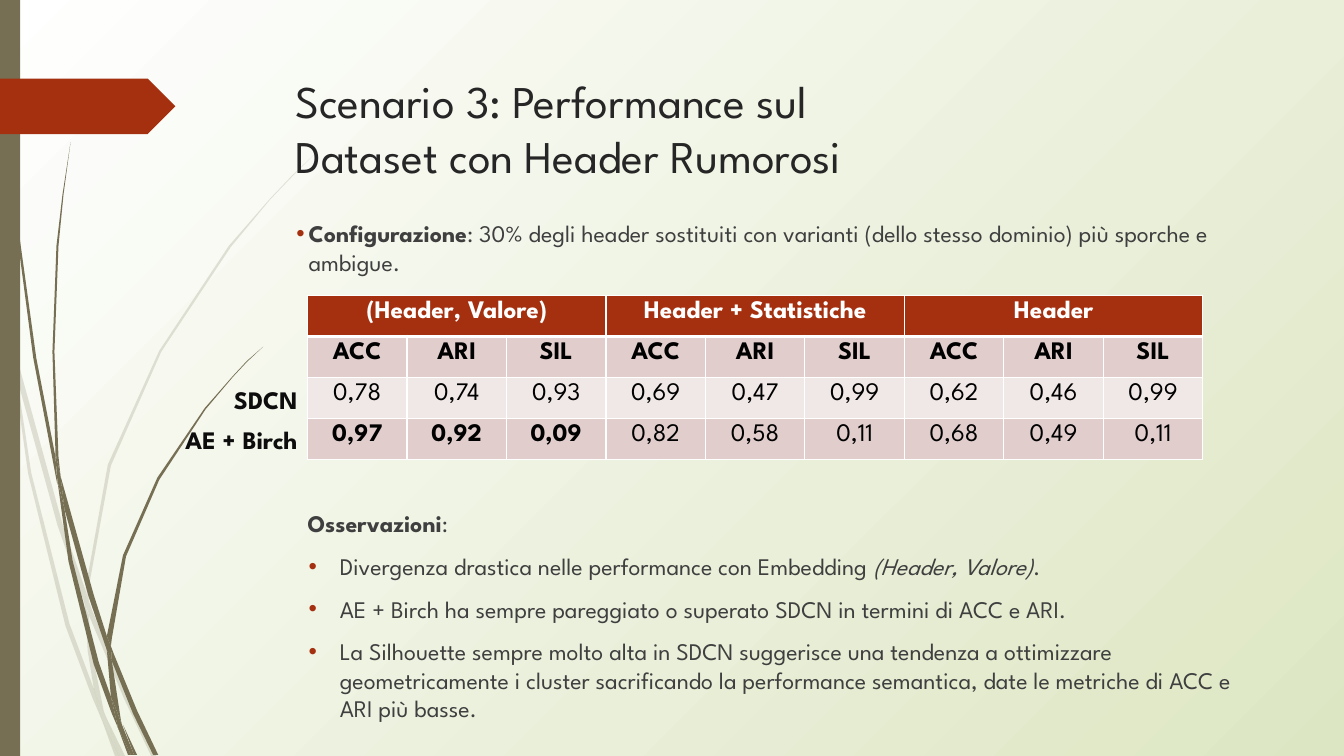
from dataclasses import dataclass

from pptx import Presentation
from pptx import util as u
from pptx.dml.color import RGBColor
from pptx.enum import shapes, text
from pptx.oxml import ns, xmlchemy


@dataclass(frozen=True)
class Theme:
    font: str = "League Spartan"
    accent: str = "A53010"
    olive: str = "766F54"
    meadow: str = "DDE6C3"
    white: str = "FFFFFF"
    black: str = "000000"
    title_ink: str = "262626"
    body_ink: str = "3F3F3F"
    label_ink: str = "0D0D0D"
    bands: tuple[str, str] = ("F0E8E7", "E1CDCC")
    title_size: float = 32.4
    body_size: float = 17
    table_size: float = 18


@dataclass(frozen=True)
class Span:
    words: str
    bold: bool = False
    italic: bool = False


@dataclass(frozen=True)
class Entry:
    spans: tuple[Span, ...]
    margin: float = 0.44
    indent: float = -0.31


THEME = Theme()

# Outlines of the grass blades, in inches
FAINT_GRASS = (
    ((0.11, 3.5), (0.08, 3.22), (0, 2.82), (0, 2.99), (0.1, 3.44)),
    ((0.57, 5.21), (0.84, 5.99), (0.85, 5.86), (0.62, 5.2), (0.14, 3.45), (0.17, 3.76)),
    ((0.92, 6.07), (0.88, 5.96), (0.88, 6.1), (1.23, 6.93), (1.5, 7.5), (1.55, 7.5), (1.27, 6.91)),
    ((1.19, 7.5), (1.24, 7.5), (1.05, 7.11)),
    ((0.93, 6.83), (0.69, 6.19), (0.31, 4.69), (0.17, 3.76), (0.11, 3.5), (0.28, 4.7), (0.65, 6.21),
     (0.92, 6.93), (1.01, 7.14), (0.99, 7.07)),
    ((0.84, 5.99), (0.87, 6.46), (0.93, 6.83), (0.96, 6.92), (1.05, 7.11), (1.03, 7.06), (0.91, 6.46),
     (0.88, 6.1)),
    ((0.88, 5.83), (1.1, 4.62), (1.6, 3.49), (2.29, 2.45), (2.68, 1.98), (2.9, 1.75), (3.12, 1.53),
     (2.89, 1.75), (2.68, 1.97), (2.27, 2.44), (1.58, 3.48), (1.07, 4.61), (0.85, 5.83), (0.88, 5.96)),
    ((1.01, 7.14), (1.14, 7.5), (1.18, 7.5)),
    ((0.88, 6.08), (0.88, 5.96), (0.85, 5.86), (0.84, 5.99)),
    ((0.96, 6.92), (0.93, 6.83), (0.99, 7.07), (1.01, 7.14), (1.18, 7.5), (1.19, 7.5), (1.05, 7.11)),
)
DARK_GRASS = (
    ((0.07, 1.1), (0.17, 2.33), (0.33, 3.55), (0.56, 4.76), (0.57, 4.81), (0.55, 4.53), (0.36, 3.55),
     (0.19, 2.32), (0.08, 1.09), (0.05, 0.48), (0.04, 0), (0.03, 0), (0.04, 0.48)),
    ((0.88, 5.92), (1.06, 6.45), (1.06, 6.31), (0.93, 5.9), (0.6, 4.72), (0.64, 5.05)),
    ((1.13, 6.49), (1.1, 6.41), (1.11, 6.56), (1.32, 7.08), (1.52, 7.49), (1.57, 7.49), (1.36, 7.05)),
    ((1.1, 6.91), (0.98, 6.57), (0.72, 5.56), (0.64, 5.05), (0.57, 4.77), (0.68, 5.57), (0.93, 6.59),
     (1.11, 7.08), (1.17, 7.22), (1.16, 7.17)),
    ((0.6, 4.72), (0.58, 4.53), (0.54, 3.49), (0.58, 2.44), (0.63, 1.93), (0.7, 1.41), (0.62, 1.93),
     (0.56, 2.44), (0.52, 3.49), (0.55, 4.49)),
    ((1.33, 7.49), (1.36, 7.49), (1.22, 7.19)),
    ((0.57, 4.77), (0.64, 5.05), (0.6, 4.72), (0.55, 4.49), (0.55, 4.53)),
    ((1.11, 6.33), (1.25, 5.52), (1.58, 4.76), (2.04, 4.06), (2.31, 3.74), (2.45, 3.59), (2.61, 3.44),
     (2.45, 3.58), (2.31, 3.73), (2.03, 4.05), (1.56, 4.74), (1.22, 5.51), (1.06, 6.31), (1.1, 6.41)),
    ((1.17, 7.22), (1.27, 7.49), (1.3, 7.49)),
    ((1.06, 6.45), (1.1, 6.91), (1.16, 7.06), (1.21, 7.19), (1.2, 7.15), (1.11, 6.56)),
    ((1.06, 6.45), (1.11, 6.56), (1.1, 6.41), (1.06, 6.31)),
    ((1.16, 7.06), (1.1, 6.91), (1.16, 7.17), (1.17, 7.22), (1.3, 7.49), (1.33, 7.49), (1.21, 7.19)),
)

CONFIGURATION = (Entry((
    Span("Configurazione", bold=True),
    Span(": 30% degli header sostituiti con varianti (dello stesso dominio) più sporche e ambigue.")), 0.12, -0.12),)
OBSERVATIONS = (
    Entry((Span("Osservazioni", bold=True), Span(":")), 0.12, 0),
    Entry((Span("Divergenza drastica nelle performance con Embedding "),
           Span("(Header, Valore)", italic=True), Span("."))),
    Entry((Span("AE + Birch ha sempre pareggiato o superato SDCN in termini di ACC e ARI."),)),
    Entry((Span("La Silhouette sempre molto alta in SDCN suggerisce una tendenza a ottimizzare geometricamente i "
                "cluster sacrificando la performance semantica, date le metriche di ACC e ARI più basse."),)),
)
EMBEDDINGS = ("(Header, Valore)", "Header + Statistiche", "Header")
METRICS = ("ACC", "ARI", "SIL")
SCORES = {
    "SDCN": ("0,78", "0,74", "0,93", "0,69", "0,47", "0,99", "0,62", "0,46", "0,99"),
    "AE + Birch": ("0,97", "0,92", "0,09", "0,82", "0,58", "0,11", "0,68", "0,49", "0,11"),
}
BEST = SCORES["AE + Birch"][:3]


def add_xml(parent, tag: str, **attributes):
    child = xmlchemy.OxmlElement(tag)
    for key, value in attributes.items():
        child.set(key, str(value))
    parent.append(child)
    return child


def write(paragraph, span: Span, size: float, ink: str) -> None:
    run = paragraph.add_run()
    run.text = span.words
    run.font.name, run.font.size = THEME.font, u.Pt(size)
    run.font.bold, run.font.italic = span.bold, span.italic
    run.font.color.rgb = RGBColor.from_string(ink)


def place(shape, *box: float):
    shape.left, shape.top, shape.width, shape.height = map(u.Inches, box)
    frame = shape.text_frame
    frame.word_wrap = True
    frame.auto_size = text.MSO_AUTO_SIZE.NONE
    frame.vertical_anchor = text.MSO_ANCHOR.TOP
    return frame


def paint(shape, color: str, opacity: int = 100) -> None:
    shape.shadow.inherit = False
    shape.fill.solid()
    shape.fill.fore_color.rgb = RGBColor.from_string(color)
    shape.line.fill.background()
    if opacity < 100:
        add_xml(shape.element.spPr.find(ns.qn("a:solidFill"))[0], "a:alpha", val=opacity * 1000)


def fill_list(frame, entries: tuple[Entry, ...]) -> None:
    for i, entry in enumerate(entries):
        paragraph = frame.add_paragraph() if i else frame.paragraphs[0]
        props = paragraph._p.get_or_add_pPr()
        props.set("marL", str(u.Inches(entry.margin)))
        props.set("indent", str(u.Inches(entry.indent)))
        if entry.indent:
            add_xml(add_xml(props, "a:buClr"), "a:srgbClr", val=THEME.accent)
            add_xml(props, "a:buFont", typeface="Arial")
            add_xml(props, "a:buChar", char="•")
        else:
            add_xml(props, "a:buNone")
        paragraph.space_before = u.Pt(10 if i else 0)
        for span in entry.spans:
            write(paragraph, span, THEME.body_size, THEME.body_ink)


def fill_cell(cell, words: str, bold: bool, ink: str, fill: str, bottom: float = 1) -> None:
    props = cell._tc.get_or_add_tcPr()
    for side, points in (("L", 1), ("R", 1), ("T", 1), ("B", bottom)):
        border = add_xml(props, f"a:ln{side}", w=u.Pt(points))
        add_xml(add_xml(border, "a:solidFill"), "a:srgbClr", val=THEME.white)
    cell.fill.solid()
    cell.fill.fore_color.rgb = RGBColor.from_string(fill)
    if words:
        cell.text_frame.paragraphs[0].alignment = text.PP_ALIGN.CENTER
        write(cell.text_frame.paragraphs[0], Span(words, bold), THEME.table_size, ink)


def draw_scores(slide) -> None:
    rows = (METRICS * len(EMBEDDINGS), *SCORES.values())
    scores = slide.shapes.add_table(len(rows) + 1, len(rows[0]), *map(u.Inches, (3.05, 2.93, 8.88, 1.63))).table
    scores.first_row = scores.horz_banding = False
    for c in range(len(rows[0])):
        group, offset = divmod(c, len(METRICS))
        fill_cell(scores.cell(0, c), "" if offset else EMBEDDINGS[group], True, THEME.white, THEME.accent, 3)
        if not offset:
            scores.cell(0, c).merge(scores.cell(0, c + len(METRICS) - 1))
        for r, row in enumerate(rows, start=1):
            bold = r == 1 or r == 3 and row[c] in BEST
            fill_cell(scores.cell(r, c), row[c], bold, THEME.black, THEME.bands[r % 2])
    # Row labels beside the table
    for i, method in enumerate(SCORES):
        label = place(slide.shapes.add_textbox(0, 0, 0, 0), 1.48, 3.76 + 0.4 * i, 1.57, 0.4).paragraphs[0]
        label.alignment = text.PP_ALIGN.RIGHT
        write(label, Span(method, bold=True), THEME.table_size, THEME.label_ink)


def decorate(slide) -> None:
    backdrop = slide.background.fill
    backdrop.gradient()
    backdrop.gradient_angle = 135
    for stop, color in zip(backdrop.gradient_stops, (THEME.meadow, THEME.white)):
        stop.color.rgb = RGBColor.from_string(color)
    for blades, opacity in ((FAINT_GRASS, 20), (DARK_GRASS, 100)):
        for blade in blades:
            foot, *others = [(u.Inches(x), u.Inches(y)) for x, y in blade]
            builder = slide.shapes.build_freeform(*foot)
            paint(builder.add_line_segments(others).convert_to_shape(), THEME.olive, opacity)
    for preset, top, width, height, color in (
            (shapes.MSO_SHAPE.RECTANGLE, 0, 0.2, 7.5, THEME.olive),
            (shapes.MSO_SHAPE.PENTAGON, 0.78, 1.74, 0.55, THEME.accent)):
        paint(slide.shapes.add_shape(preset, 0, *map(u.Inches, (top, width, height))), color)


def main() -> None:
    deck = Presentation()
    deck.slide_width, deck.slide_height = u.Inches(13.33), u.Inches(7.5)
    slide = deck.slides.add_slide(deck.slide_layouts.get_by_name("Two Content"))
    title, configuration, observations = list(slide.placeholders)
    decorate(slide)
    # Title and lists, in front of the grass
    for placeholder in (title, configuration, observations):
        placeholder.element.getparent().append(placeholder.element)
    heading = place(title, 2.83, 0.68, 9.74, 0.77).paragraphs[0]
    heading.alignment = text.PP_ALIGN.LEFT
    write(heading, Span("Scenario 3: Performance sul "), THEME.title_size, THEME.title_ink)
    heading.add_line_break()
    write(heading, Span("Dataset con Header Rumorosi"), THEME.title_size, THEME.title_ink)
    fill_list(place(configuration, 2.84, 2.12, 9.74, 0.77), CONFIGURATION)
    fill_list(place(observations, 2.83, 5, 9.74, 2.25), OBSERVATIONS)
    draw_scores(slide)
    deck.save("out.pptx")


if __name__ == "__main__":
    main()
